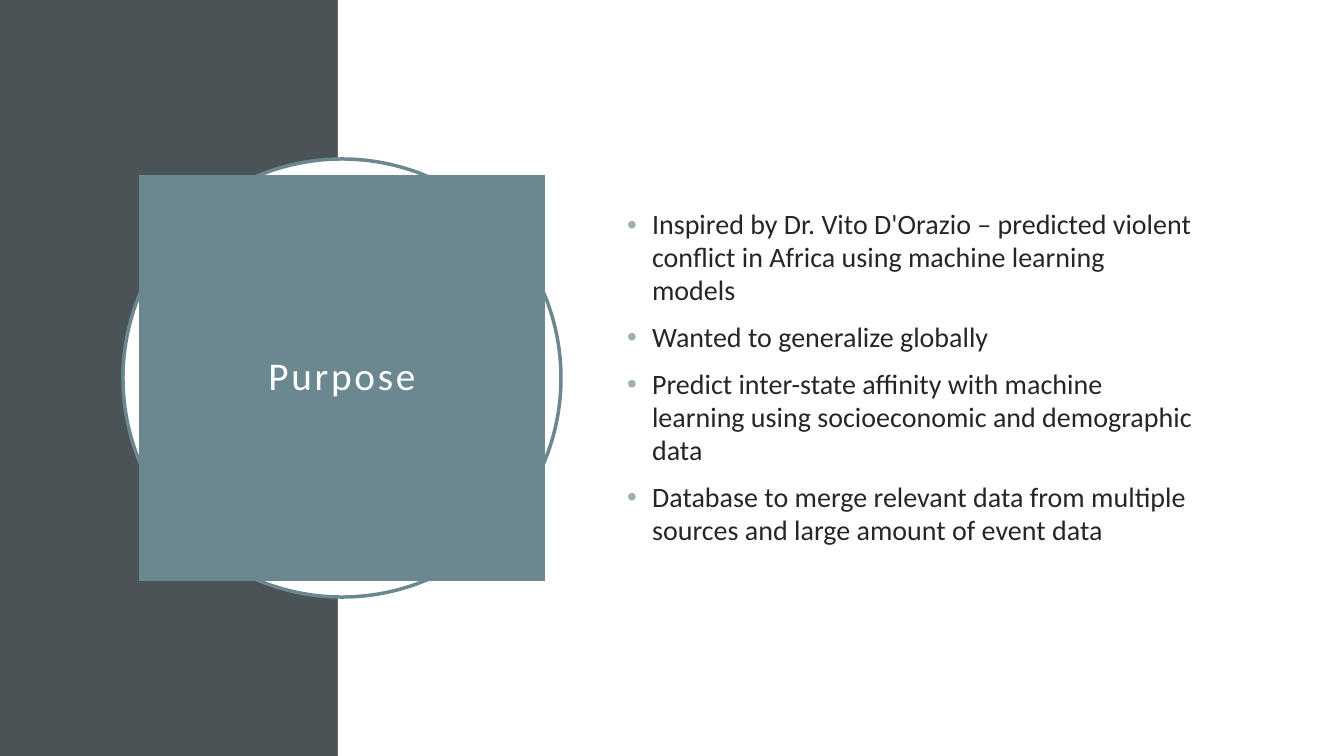
from dataclasses import dataclass

from lxml.etree import SubElement
from pptx import Presentation
from pptx.dml.color import RGBColor
from pptx.enum.shapes import MSO_SHAPE
from pptx.enum.text import MSO_ANCHOR, MSO_AUTO_SIZE, PP_ALIGN
from pptx.oxml.ns import qn
from pptx.util import Emu, Pt

TITLE = "Purpose"
POINTS = [
    "Inspired by Dr. Vito D'Orazio – predicted violent conflict in Africa using machine learning models",
    "Wanted to generalize globally",
    "Predict inter-state affinity with machine learning using socioeconomic and demographic data",
    "Database to merge relevant data from multiple sources and large amount of event data",
]

PAGE_WIDTH, PAGE_HEIGHT = 1344, 756
BAND_WIDTH = 338
CENTRE = (342, 378)
RING_SIZE, TITLE_SIZE = 438, 406
TITLE_INSET = 20
BODY_BOX = (617, 154, 587, 447)
INDENT = 25


@dataclass(frozen=True)
class Theme:
    font: str = "Calibri"
    slate: str = "4A5356"
    teal: str = "6B8891"
    bullet: str = "9BAFB5"
    ink: str = "262626"
    white: str = "FFFFFF"
    title_size: int = 28
    body_size: int = 20
    title_tracking: int = 200
    ring_width: float = 2.5


THEME = Theme()


def px(length):
    return Emu(round(length * 914400 / 100.8))


def apply(target, values):
    for name, value in values.items():
        setattr(target, name, value)


def place(shape, box):
    apply(shape, dict(zip(("left", "top", "width", "height"), map(px, box))))


def centred_square(size):
    return (CENTRE[0] - size / 2, CENTRE[1] - size / 2, size, size)


def paint(shape, color):
    shape.fill.solid()
    shape.fill.fore_color.rgb = RGBColor.from_string(color)


def add_backdrop(page, kind, box, color):
    shape = page.shapes.add_shape(kind, *map(px, box))
    shape.shadow.inherit = False
    paint(shape, color)
    shape.line.fill.background()
    return shape


def write(para, text, size, color):
    span = para.add_run()
    span.text = text
    apply(span.font, {"name": THEME.font, "size": Pt(size), "bold": False})
    span.font.color.rgb = RGBColor.from_string(color)
    return span


def add_bullet(para):
    properties = para._p.get_or_add_pPr()
    properties.set("marL", str(px(INDENT)))
    properties.set("indent", str(-px(INDENT)))
    color = SubElement(properties, qn("a:buClr"))
    SubElement(color, qn("a:srgbClr"), val=THEME.bullet)
    SubElement(properties, qn("a:buFont"), typeface="Arial")
    SubElement(properties, qn("a:buChar"), char="•")


def fill_title(title):
    place(title, centred_square(TITLE_SIZE))
    paint(title, THEME.teal)
    frame = title.text_frame
    sides = ("margin_left", "margin_top", "margin_right", "margin_bottom")
    apply(frame, dict.fromkeys(sides, px(TITLE_INSET)))
    apply(frame, {"word_wrap": True, "auto_size": MSO_AUTO_SIZE.NONE,
                  "vertical_anchor": MSO_ANCHOR.MIDDLE})
    para = frame.paragraphs[0]
    apply(para, {"alignment": PP_ALIGN.CENTER, "line_spacing": 0.9})
    span = write(para, TITLE, THEME.title_size, THEME.white)
    span.font._element.set("spc", str(THEME.title_tracking))


def fill_body(body):
    place(body, BODY_BOX)
    frame = body.text_frame
    apply(frame, {"word_wrap": True, "auto_size": MSO_AUTO_SIZE.NONE,
                  "vertical_anchor": MSO_ANCHOR.MIDDLE})
    for index, point in enumerate(POINTS):
        para = frame.add_paragraph() if index else frame.paragraphs[0]
        apply(para, {"alignment": PP_ALIGN.LEFT, "line_spacing": 0.98,
                     "space_before": Pt(10), "space_after": Pt(0)})
        add_bullet(para)
        write(para, point, THEME.body_size, THEME.ink)


def main():
    deck = Presentation()
    apply(deck, {"slide_width": px(PAGE_WIDTH), "slide_height": px(PAGE_HEIGHT)})
    page = deck.slides.add_slide(deck.slide_layouts[1])
    title, body = page.placeholders

    add_backdrop(page, MSO_SHAPE.RECTANGLE, (0, 0, BAND_WIDTH, PAGE_HEIGHT), THEME.slate)
    add_backdrop(page, MSO_SHAPE.RECTANGLE,
                 (BAND_WIDTH, 0, PAGE_WIDTH - BAND_WIDTH, PAGE_HEIGHT), THEME.white)
    ring = add_backdrop(page, MSO_SHAPE.OVAL, centred_square(RING_SIZE), THEME.white)
    ring.line.color.rgb = RGBColor.from_string(THEME.teal)
    ring.line.width = Pt(THEME.ring_width)

    for box, fill_box in ((title, fill_title), (body, fill_body)):
        fill_box(box)
        box.element.getparent().append(box.element)

    deck.save("out.pptx")


if __name__ == "__main__":
    main()
